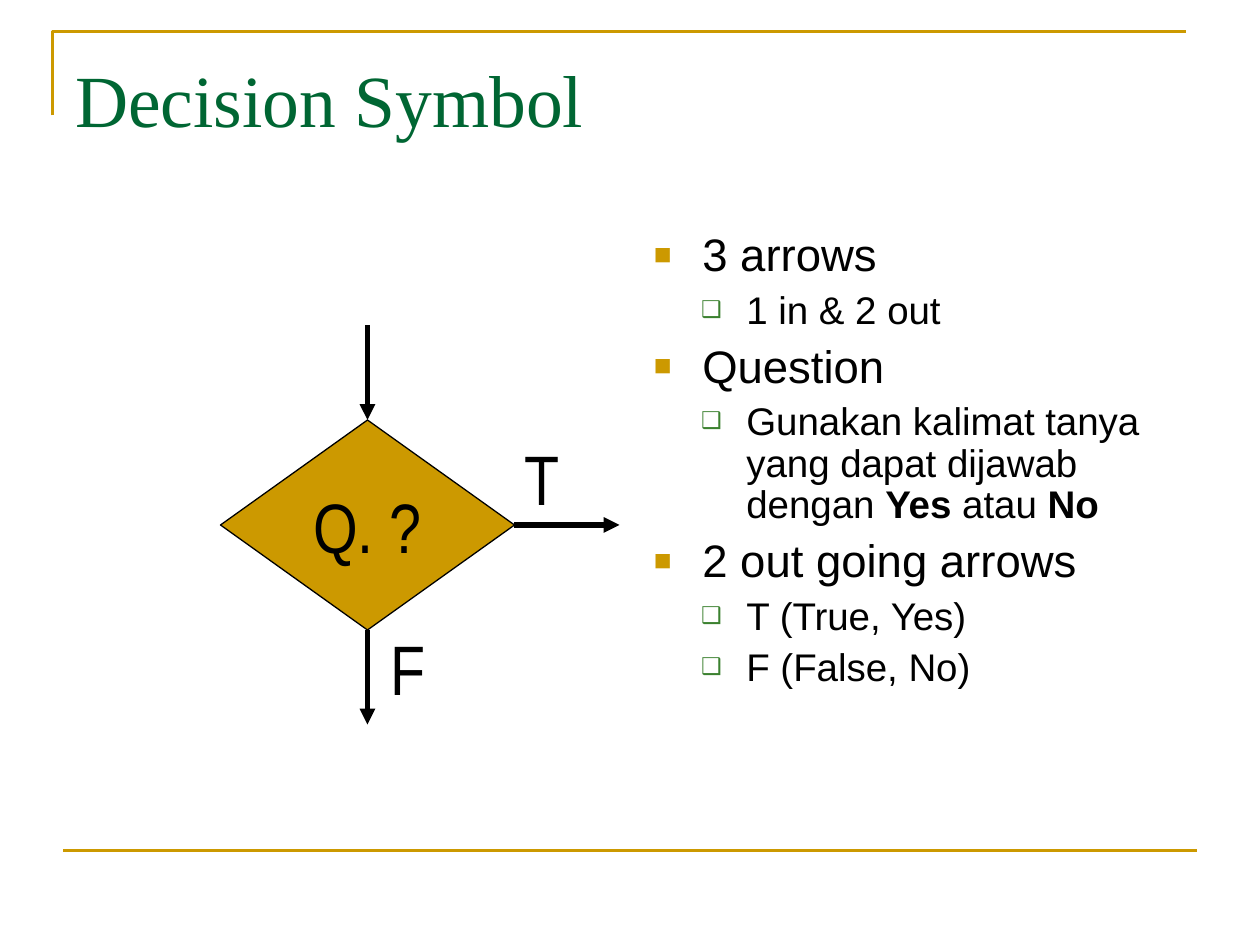
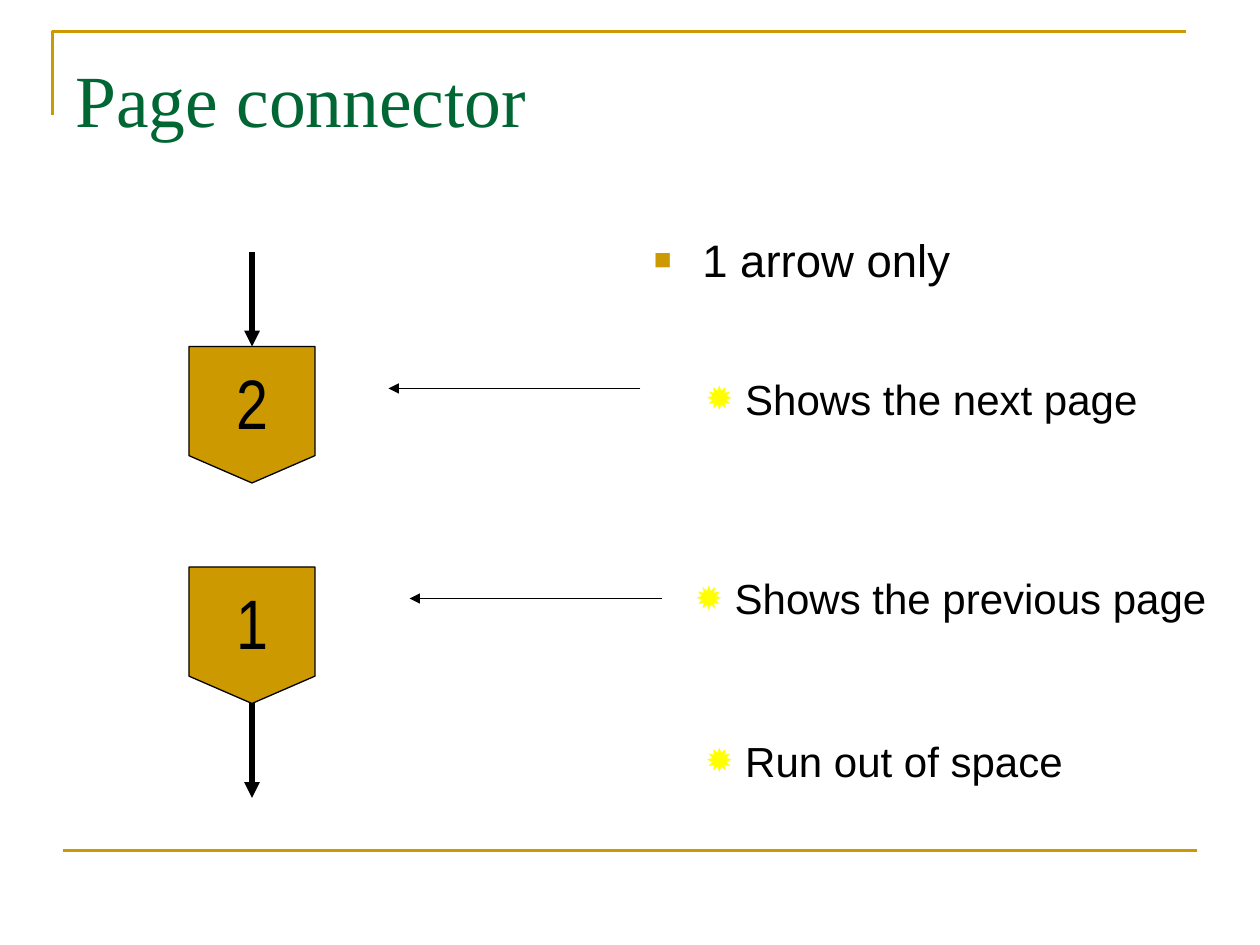
from dataclasses import dataclass
from lxml import etree
from pptx import Presentation
from pptx.dml.color import RGBColor
from pptx.enum.shapes import MSO_CONNECTOR, MSO_SHAPE
from pptx.enum.text import MSO_ANCHOR, PP_ALIGN
from pptx.oxml.ns import qn
from pptx.util import Emu, Pt

STRAIGHT = MSO_CONNECTOR.STRAIGHT
DECISION = MSO_SHAPE.FLOWCHART_DECISION
OFFPAGE = MSO_SHAPE.FLOWCHART_OFFPAGE_CONNECTOR
TOP, MIDDLE = MSO_ANCHOR.TOP, MSO_ANCHOR.MIDDLE
LEFT, CENTER = PP_ALIGN.LEFT, PP_ALIGN.CENTER
EMU_PER_PX = 7620


@dataclass(frozen=True)
class Bullet:
    char: str
    color: str
    percent: int
    margin: int
    hang: int
    size: int
    before: float


@dataclass(frozen=True)
class Theme:
    gold: str = "CC9900"
    green: str = "006633"
    ink: str = "000000"
    title_font: str = "Times New Roman"
    body_font: str = "Arial"
    symbol_font: str = "Arial Narrow"
    title_size: int = 42
    symbol_size: int = 40
    frame_line: float = 1.5
    flow_line: float = 3
    thin_line: float = 0.75
    levels: tuple = (
        Bullet("■", "CC9900", 65, 46, 46, 26, 6.5),
        Bullet("❑", "3B812F", 60, 88, 43, 22, 5.5),
    )
    note: Bullet = Bullet("✹", "FFFF00", 80, 38, 38, 24, 6)


def px(length):
    return Emu(length * EMU_PER_PX)


def assign(target, values):
    for attribute, value in values.items():
        setattr(target, attribute, value)


def add_element(parent, tag, **attributes):
    return etree.SubElement(parent, qn(tag), attributes)


class Deck:
    def __init__(self, theme):
        self.theme = theme
        self.presentation = Presentation()
        assign(self.presentation, {"slide_width": px(1200), "slide_height": px(900)})
        self.shapes = None

    def start_slide(self, title):
        blank = self.presentation.slide_layouts[6]
        self.shapes = self.presentation.slides.add_slide(blank).shapes
        outline = self.shapes.build_freeform(50, 110, scale=float(EMU_PER_PX))
        outline.add_line_segments([(50, 30), (1130, 30)], close=False)
        corner = outline.convert_to_shape()
        corner.shadow.inherit = False
        corner.fill.background()
        self.stroke(corner, self.theme.gold, self.theme.frame_line)
        self.line((60, 810), (1140, 810), self.theme.gold, self.theme.frame_line)
        frame = self.text_frame((60, 36, 1080, 150), top_inset=15)
        self.add_text(frame.paragraphs[0], title, self.theme.title_font,
                      self.theme.title_size, self.theme.green)

    def stroke(self, shape, color, width):
        shape.line.color.rgb = RGBColor.from_string(color)
        shape.line.width = Pt(width)

    def line(self, start, end, color, width):
        connector = self.shapes.add_connector(STRAIGHT, *map(px, start + end))
        self.stroke(connector, color, width)
        add_element(connector.element.spPr, "a:effectLst")
        return connector

    def arrow(self, start, end, width):
        connector = self.line(start, end, self.theme.ink, width)
        add_element(connector.element.spPr.find(qn("a:ln")), "a:tailEnd", type="triangle")
        return connector

    def text_frame(self, box, top_inset=6, wrap=True):
        frame = self.shapes.add_textbox(*map(px, box)).text_frame
        self.format_frame(frame, top_inset, wrap, TOP)
        return frame

    def format_frame(self, frame, top_inset, wrap, anchor):
        assign(frame, {
            "word_wrap": wrap, "vertical_anchor": anchor,
            "margin_left": px(12), "margin_right": px(12),
            "margin_top": px(top_inset), "margin_bottom": px(6),
        })

    def add_text(self, paragraph, text, font, size, color, align=LEFT):
        paragraph.alignment = align
        for index, part in enumerate(text.split("**")):
            run = paragraph.add_run()
            run.text = part
            assign(run.font, {"name": font, "size": Pt(size), "bold": index % 2 == 1})
            run.font.color.rgb = RGBColor.from_string(color)

    def bullet(self, paragraph, text, style, spacing):
        assign(paragraph, {"line_spacing": spacing, "space_before": Pt(style.before)})
        properties = paragraph._p.get_or_add_pPr()
        properties.set("marL", str(px(style.margin)))
        properties.set("indent", str(px(-style.hang)))
        color = add_element(properties, "a:buClr")
        add_element(color, "a:srgbClr", val=style.color)
        add_element(properties, "a:buSzPct", val=str(style.percent * 1000))
        add_element(properties, "a:buFont", typeface=self.theme.body_font)
        add_element(properties, "a:buChar", char=style.char)
        self.add_text(paragraph, text, self.theme.body_font, style.size, self.theme.ink)

    def outline(self, box, items, spacing=0.9):
        frame = self.text_frame(box, top_inset=11)
        for index, (level, text) in enumerate(items):
            paragraph = frame.add_paragraph() if index else frame.paragraphs[0]
            paragraph.level = level
            self.bullet(paragraph, text, self.theme.levels[level], spacing)

    def note(self, box, text):
        frame = self.text_frame(box)
        self.bullet(frame.paragraphs[0], text, self.theme.note, 0.9)

    def symbol_text(self, frame, text, align):
        self.add_text(frame.paragraphs[0], text, self.theme.symbol_font,
                      self.theme.symbol_size, self.theme.ink, align)

    def branch_label(self, box, text):
        self.symbol_text(self.text_frame(box, wrap=False), text, LEFT)

    def symbol(self, preset, box, text):
        shape = self.shapes.add_shape(preset, *map(px, box))
        shape.shadow.inherit = False
        shape.fill.solid()
        shape.fill.fore_color.rgb = RGBColor.from_string(self.theme.gold)
        self.stroke(shape, self.theme.ink, self.theme.thin_line)
        self.format_frame(shape.text_frame, 6, False, MIDDLE)
        self.symbol_text(shape.text_frame, text, CENTER)
        return shape

    def page_connector(self, top, number, arrow_top):
        flow = self.arrow((240, arrow_top), (240, arrow_top + 90), self.theme.flow_line)
        page = self.symbol(OFFPAGE, (180, top, 120, 130), number)
        self.shapes.add_group_shape([flow, page])


def decision_slide(deck):
    deck.start_slide("Decision Symbol")
    deck.outline((611, 210, 529, 594), [
        (0, "3 arrows"),
        (1, "1 in & 2 out"),
        (0, "Question"),
        (1, "Gunakan kalimat tanya yang dapat dijawab dengan **Yes** atau **No"),
        (0, "2 out going arrows"),
        (1, "T (True, Yes)"),
        (1, "F (False, No)"),
    ])
    for start, end in [((350, 600), (350, 690)), ((350, 310), (350, 400)),
                       ((490, 500), (590, 500))]:
        deck.arrow(start, end, deck.theme.flow_line)
    deck.symbol(DECISION, (210, 400, 280, 200), "Q. ?")
    deck.branch_label((488, 409, 58, 92), "T")
    deck.branch_label((360, 590, 58, 92), "F")


def page_connector_slide(deck):
    deck.start_slide("Page connector")
    deck.outline((611, 210, 529, 110), [(0, "1 arrow only")], spacing=1.0)
    deck.page_connector(540, "1", arrow_top=670)
    deck.page_connector(330, "2", arrow_top=240)
    for right, height in [(610, 370), (630, 570)]:
        deck.arrow((right, height), (right - 240, height), deck.theme.thin_line)
    for left, top, width, text in [
        (660, 355, 470, "Shows the next page"),
        (650, 545, 550, "Shows the previous page"),
        (660, 700, 470, "Run out of space"),
    ]:
        deck.note((left, top, width, 55), text)


def main():
    deck = Deck(Theme())
    decision_slide(deck)
    page_connector_slide(deck)
    deck.presentation.save("out.pptx")


if __name__ == "__main__":
    main()
